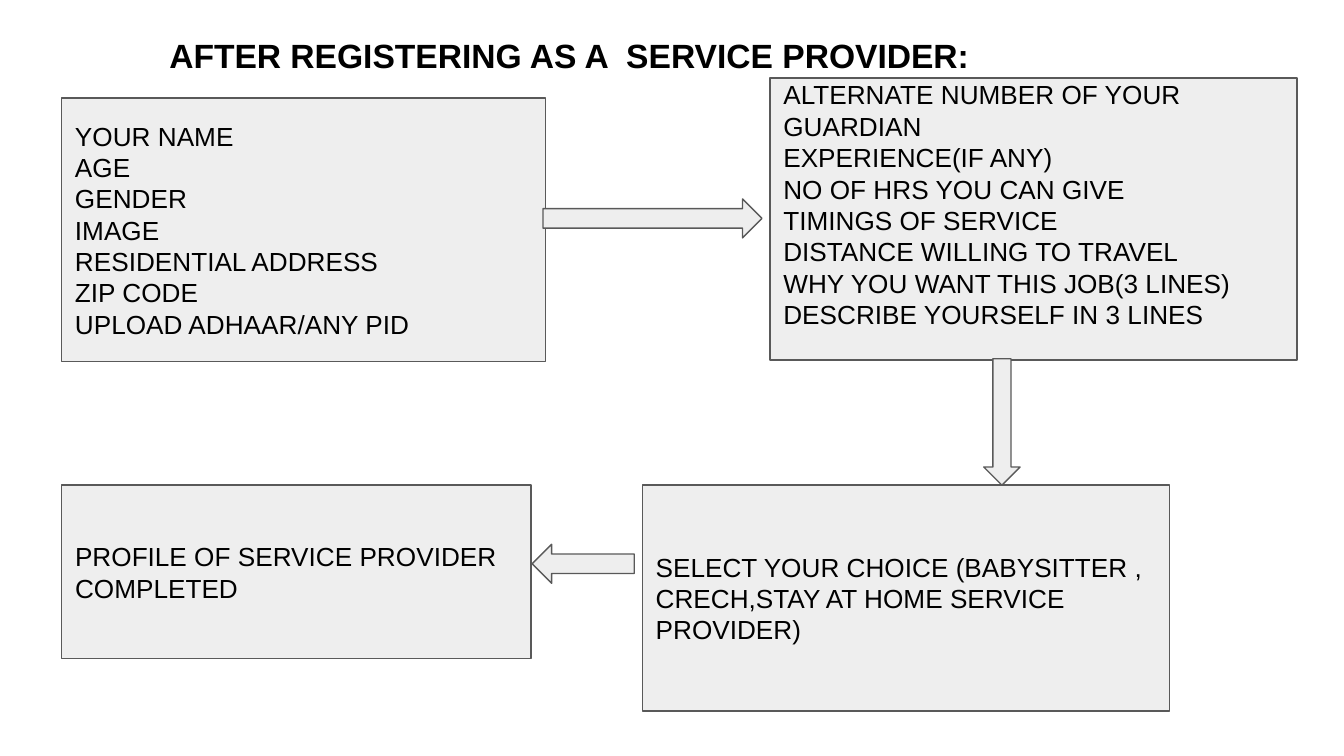
from dataclasses import dataclass

from pptx import Presentation
from pptx import util as u
from pptx.dml.color import RGBColor
from pptx.enum import shapes, text


@dataclass(frozen=True)
class Theme:
    font: str = "Arial"
    ink: RGBColor = RGBColor(0x00, 0x00, 0x00)
    fill: RGBColor = RGBColor(0xEE, 0xEE, 0xEE)
    edge: RGBColor = RGBColor(0x59, 0x59, 0x59)
    head: float = 18
    body: float = 14
    line: float = 0.75
    pad: float = 0.1


@dataclass(frozen=True)
class Area:
    left: float
    top: float
    width: float
    height: float

    def emu(self) -> list[int]:
        return [u.Inches(n) for n in (self.left, self.top, self.width, self.height)]


@dataclass(frozen=True)
class Step:
    area: Area
    lines: tuple[str, ...]
    above: float = 0.1
    below: float = 0.1


@dataclass(frozen=True)
class Arrow:
    area: Area
    kind: shapes.MSO_SHAPE


THEME = Theme()
WIDE = 10
TALL = WIDE * 9 / 16
TITLE = "AFTER REGISTERING AS A  SERVICE PROVIDER:"

STEPS = (
    Step(Area(0.46, 0.73, 3.6, 1.96), (
        "YOUR NAME",
        "AGE",
        "GENDER",
        "IMAGE",
        "RESIDENTIAL ADDRESS",
        "ZIP CODE",
        "UPLOAD ADHAAR/ANY PID",
    )),
    # The longest list sits high in its box
    Step(Area(5.73, 0.58, 3.92, 2.1), (
        "ALTERNATE NUMBER OF YOUR GUARDIAN",
        "EXPERIENCE(IF ANY)",
        "NO OF HRS YOU CAN GIVE",
        "TIMINGS OF SERVICE",
        "DISTANCE WILLING TO TRAVEL",
        "WHY YOU WANT THIS JOB(3 LINES)",
        "DESCRIBE YOURSELF IN 3 LINES",
    ), above=0, below=0.22),
    Step(Area(4.78, 3.61, 3.92, 1.68), (
        "SELECT YOUR CHOICE (BABYSITTER , CRECH,STAY AT HOME SERVICE PROVIDER)",
    )),
    Step(Area(0.46, 3.61, 3.49, 1.29), (
        "PROFILE OF SERVICE PROVIDER COMPLETED",
    )),
)

ARROWS = (
    Arrow(Area(4.04, 1.48, 1.63, 0.29), shapes.MSO_SHAPE.RIGHT_ARROW),
    Arrow(Area(3.96, 4.05, 0.76, 0.29), shapes.MSO_SHAPE.LEFT_ARROW),
    Arrow(Area(7.32, 2.67, 0.27, 0.94), shapes.MSO_SHAPE.DOWN_ARROW),
)


def write(shape, words: str, size: float, anchor, bold: bool = False,
          above: float = THEME.pad, below: float = THEME.pad) -> None:
    """Fill a shape with left-aligned text, one paragraph a line."""
    frame = shape.text_frame
    frame.text = words
    frame.word_wrap = True
    frame.auto_size = text.MSO_AUTO_SIZE.NONE
    frame.vertical_anchor = anchor
    frame.margin_left = frame.margin_right = u.Inches(THEME.pad)
    frame.margin_top, frame.margin_bottom = u.Inches(above), u.Inches(below)
    for para in frame.paragraphs:
        para.alignment = text.PP_ALIGN.LEFT
        for run in para.runs:
            font = run.font
            font.name, font.size, font.bold = THEME.font, u.Pt(size), bold
            font.color.rgb = THEME.ink


def draw(slide, kind: shapes.MSO_SHAPE, area: Area):
    """Add a grey outlined shape."""
    shape = slide.shapes.add_shape(kind, *area.emu())
    shape.shadow.inherit = False
    shape.fill.solid()
    shape.fill.fore_color.rgb = THEME.fill
    shape.line.color.rgb = THEME.edge
    shape.line.width = u.Pt(THEME.line)
    return shape


def add_title(slide, area: Area) -> None:
    title = slide.shapes.title
    title.left, title.top, title.width, title.height = area.emu()
    write(title, TITLE, THEME.head, text.MSO_ANCHOR.TOP, bold=True)


def add_step(slide, step: Step) -> None:
    box = draw(slide, shapes.MSO_SHAPE.RECTANGLE, step.area)
    write(box, "\n".join(step.lines), THEME.body, text.MSO_ANCHOR.MIDDLE,
          above=step.above, below=step.below)


def main() -> None:
    deck = Presentation()
    deck.slide_width, deck.slide_height = u.Inches(WIDE), u.Inches(TALL)
    slide = deck.slides.add_slide(deck.slide_layouts.get_by_name("Title Only"))

    # Heading
    add_title(slide, Area(1.16, 0.16, 7.39, 0.5))

    # Steps of the flow, then the arrows between them
    for step in STEPS:
        add_step(slide, step)
    for arrow in ARROWS:
        draw(slide, arrow.kind, arrow.area)

    deck.save("out.pptx")


if __name__ == "__main__":
    main()
